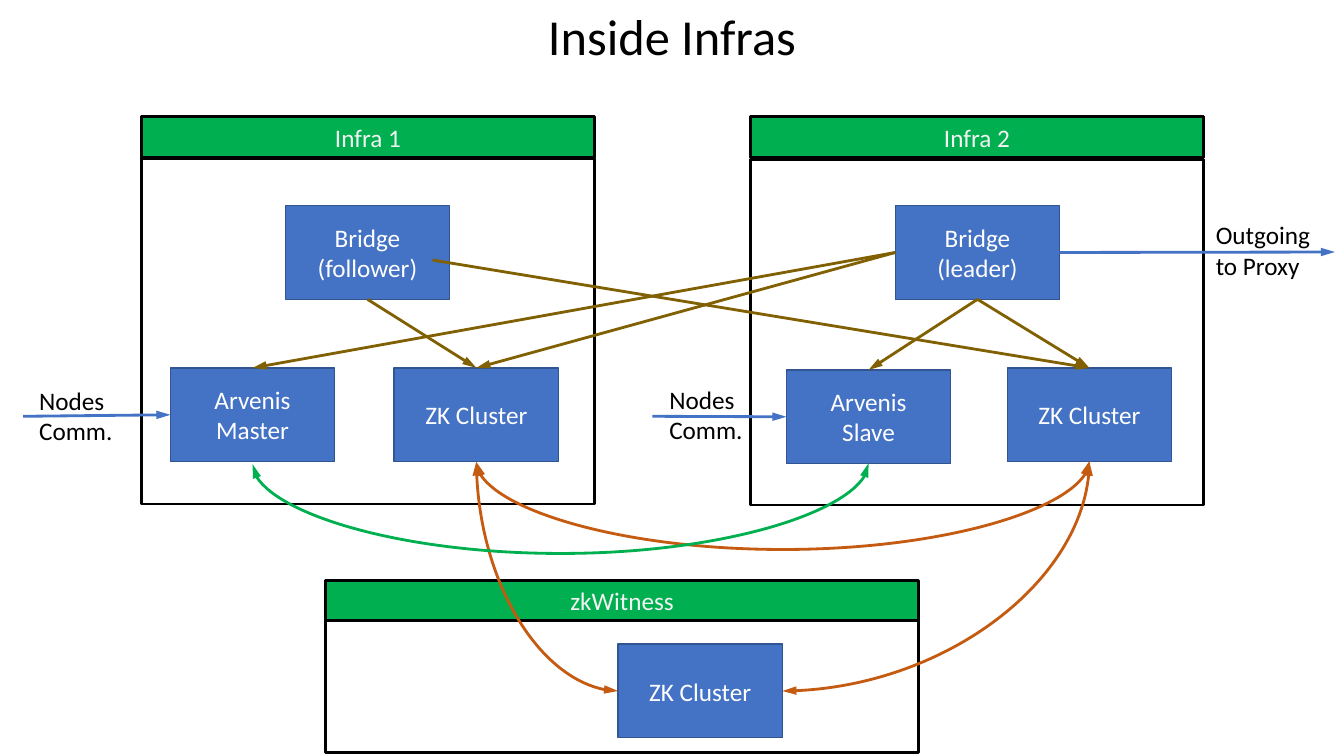
from dataclasses import dataclass

from lxml import etree
from pptx import Presentation
from pptx.dml.color import RGBColor
from pptx.enum import shapes as kinds, text as txt
from pptx.oxml import ns
from pptx.util import Inches, Pt


@dataclass(frozen=True)
class Theme:
    """Colours, type and line sizes of the slide."""
    font: str = "Calibri"
    title: int = 36
    body: int = 18
    thick: float = 2
    thin: float = 1
    black: str = "000000"
    white: str = "FFFFFF"
    pale: str = "F2F2F2"
    green: str = "00B050"
    blue: str = "4472C4"
    navy: str = "325491"
    rust: str = "C55A11"
    brown: str = "806000"


@dataclass(frozen=True)
class Panel:
    """A framed area under a green header."""
    name: str
    left: float
    top: float
    base: float
    width: float
    height: float


@dataclass(frozen=True)
class Node:
    """A blue box with its anchor points."""
    name: str
    left: float
    top: float
    width: float = 1.63
    height: float = 0.93

    def at(self, across: float, down: float) -> tuple[float, float]:
        """Return a point at the given shares of width and height."""
        return self.left + self.width * across, self.top + self.height * down

    @property
    def north(self):
        """Middle of the top edge."""
        return self.at(0.5, 0)

    @property
    def south(self):
        """Middle of the bottom edge."""
        return self.at(0.5, 1)

    @property
    def west(self):
        """Middle of the left edge."""
        return self.at(0, 0.5)

    @property
    def east(self):
        """Middle of the right edge."""
        return self.at(1, 0.5)


@dataclass(frozen=True)
class Label:
    """Plain text beside an arrow."""
    name: str
    left: float
    top: float
    width: float


T = Theme()
LINE = kinds.MSO_CONNECTOR.STRAIGHT
CURVE = kinds.MSO_CONNECTOR.CURVE

deck = Presentation()
deck.slide_width, deck.slide_height = Inches(13.33), Inches(7.5)
slide = deck.slides.add_slide(deck.slide_layouts[5])


def rgb(code: str) -> RGBColor:
    """Turn a hex code into a colour."""
    return RGBColor.from_string(code)


def write(frame, words: str, size: int, color: str, align) -> None:
    """Fill a text frame and style its paragraphs."""
    frame.text = words
    for para in frame.paragraphs:
        para.alignment = align
        para.font.name, para.font.size = T.font, Pt(size)
        para.font.color.rgb = rgb(color)


def rect(left: float, top: float, width: float, height: float, fill: str,
         edge: str, weight: float, words: str = "", color: str = T.white) -> None:
    """Draw a rectangle with centred text."""
    box = slide.shapes.add_shape(kinds.MSO_SHAPE.RECTANGLE, Inches(left),
                                 Inches(top), Inches(width), Inches(height))
    box.shadow.inherit = False
    box.fill.solid()
    box.fill.fore_color.rgb = rgb(fill)
    box.line.color.rgb, box.line.width = rgb(edge), Pt(weight)
    if words:
        box.text_frame.vertical_anchor = txt.MSO_ANCHOR.MIDDLE
        write(box.text_frame, words, T.body, color, txt.PP_ALIGN.CENTER)


def join(start, end, color: str, kind=LINE, both: bool = False):
    """Draw a connector with an arrowhead at its end, or at both."""
    link = slide.shapes.add_connector(kind, *map(Inches, (*start, *end)))
    link.line.color.rgb, link.line.width = rgb(color), Pt(T.thick)
    ends = ("headEnd", "tailEnd") if both else ("tailEnd",)
    for tag in ends:
        etree.SubElement(link.line._ln, ns.qn("a:" + tag), type="triangle",
                         len="lg")
    etree.SubElement(link._element.spPr, ns.qn("a:effectLst"))
    return link


def bend(start, end, color: str) -> None:
    """Draw a quarter curve that leaves its start sideways."""
    link = join(start, end, color, CURVE, True)
    link._element.spPr.find(ns.qn("a:prstGeom")).set("prst", "curvedConnector2")


def swing(right, left, depth: float, color: str) -> None:
    """Draw a curve that hangs between two points of like height."""
    slim, span = 0.01, right[0] - left[0]
    mid = (right[0] + left[0]) / 2
    link = join((mid - slim / 2, right[1] - span / 2),
                (mid + slim / 2, right[1] + span / 2), color, CURVE, True)
    props = link._element.spPr
    props.find(ns.qn("a:xfrm")).set("rot", str(90 * 60000))
    guides = props.find(ns.qn("a:prstGeom")).get_or_add_avLst()
    etree.SubElement(guides, ns.qn("a:gd"), name="adj1",
                     fmla=f"val {round(depth / slim * 100000)}")


title = slide.shapes.title
title.left, title.top = Inches(5.32), Inches(0)
title.width, title.height = Inches(2.69), Inches(0.71)
title.text_frame.word_wrap = False
title.text_frame.auto_size = txt.MSO_AUTO_SIZE.NONE
title.text_frame.vertical_anchor = txt.MSO_ANCHOR.MIDDLE
write(title.text_frame, "Inside Infras", T.title, T.black, txt.PP_ALIGN.CENTER)

for pane in (Panel("Infra 1", 1.4, 1.16, 1.57, 4.5, 3.43),
             Panel("Infra 2", 7.44, 1.16, 1.58, 4.5, 3.43),
             Panel("zkWitness", 3.23, 5.76, 6.16, 5.88, 1.31)):
    rect(pane.left, pane.base, pane.width, pane.height, T.white, T.black, T.thick)
    rect(pane.left, pane.top, pane.width, 0.4, T.green, T.black, T.thick,
         pane.name, T.pale)

guest = Node("Bridge\n(follower)", 2.83, 2.04)
chief = Node("Bridge\n(leader)", 8.88, 2.04)
master = Node("Arvenis\vMaster", 1.69, 3.65)
slave = Node("Arvenis\vSlave", 7.8, 3.67)
zk_one = Node("ZK Cluster", 3.91, 3.65)
zk_two = Node("ZK Cluster", 9.99, 3.65)
zk_wit = Node("ZK Cluster", 6.13, 6.39)
for node in (guest, chief, master, slave, zk_one, zk_two, zk_wit):
    rect(node.left, node.top, node.width, node.height, T.blue, T.navy, T.thin,
         node.name)

for start, end in (((0.23, 4.13), master.west), ((6.47, 4.13), slave.west),
                   (chief.east, (13.24, 2.5))):
    join(start, end, T.blue)

bend(zk_wit.east, zk_two.south, T.rust)
bend(zk_wit.west, zk_one.south, T.rust)
swing(zk_two.south, zk_one.south, 0.89, T.rust)
swing(slave.south, master.south, 0.91, T.green)

for start, end in ((chief.west, master.north), (chief.west, zk_one.north),
                   (chief.south, slave.north), (chief.south, zk_two.north),
                   (guest.south, zk_one.north), ((4.29, 2.58), zk_two.north)):
    join(start, end, T.brown)

for label in (Label("Nodes\vComm.", 0.29, 3.77, 0.94),
              Label("Nodes\vComm.", 6.54, 3.76, 0.94),
              Label("Outgoing\vto Proxy", 11.96, 2.13, 1.19)):
    note = slide.shapes.add_textbox(Inches(label.left), Inches(label.top),
                                    Inches(label.width), Inches(0.71))
    write(note.text_frame, label.name, T.body, T.black, txt.PP_ALIGN.LEFT)

deck.save("out.pptx")
